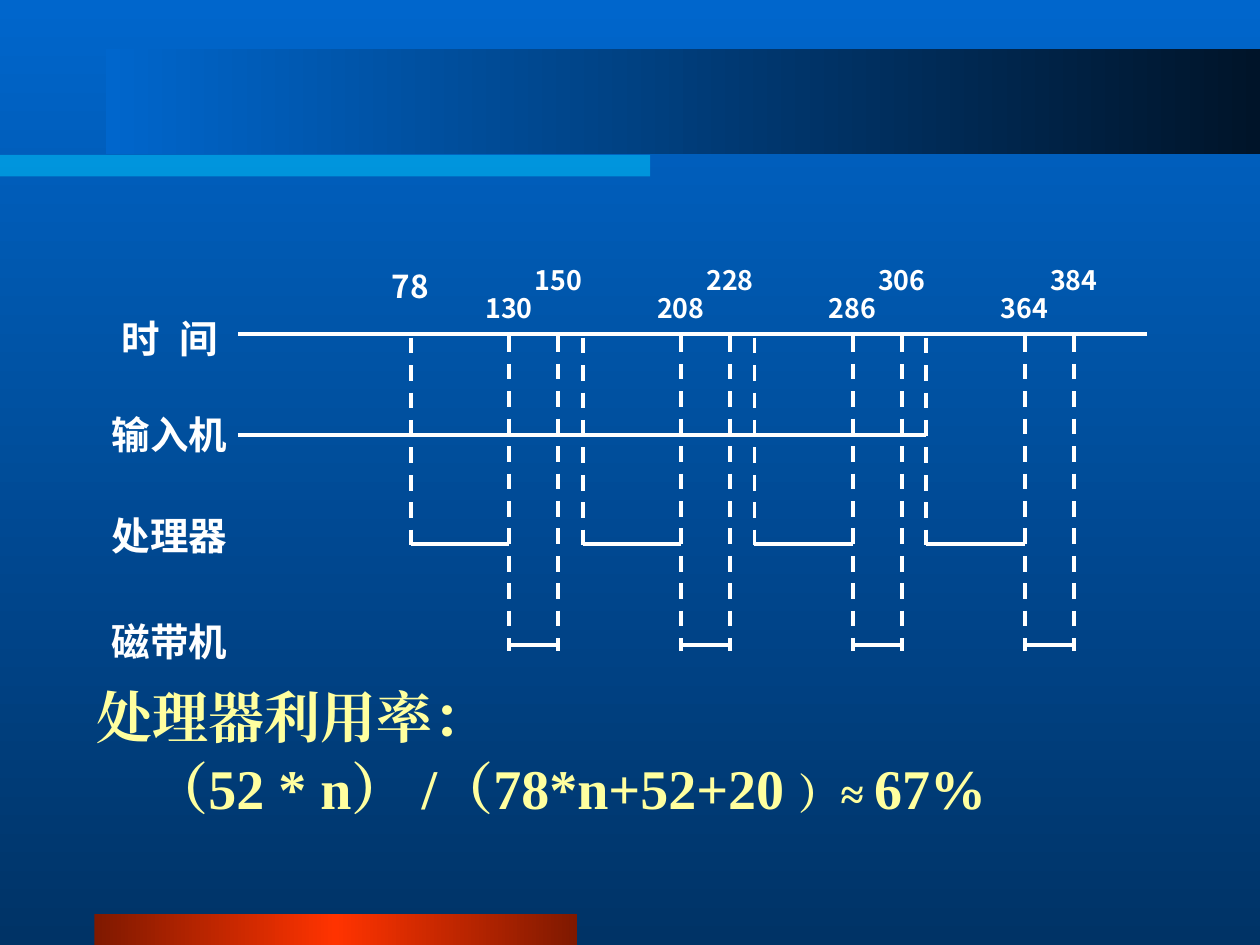
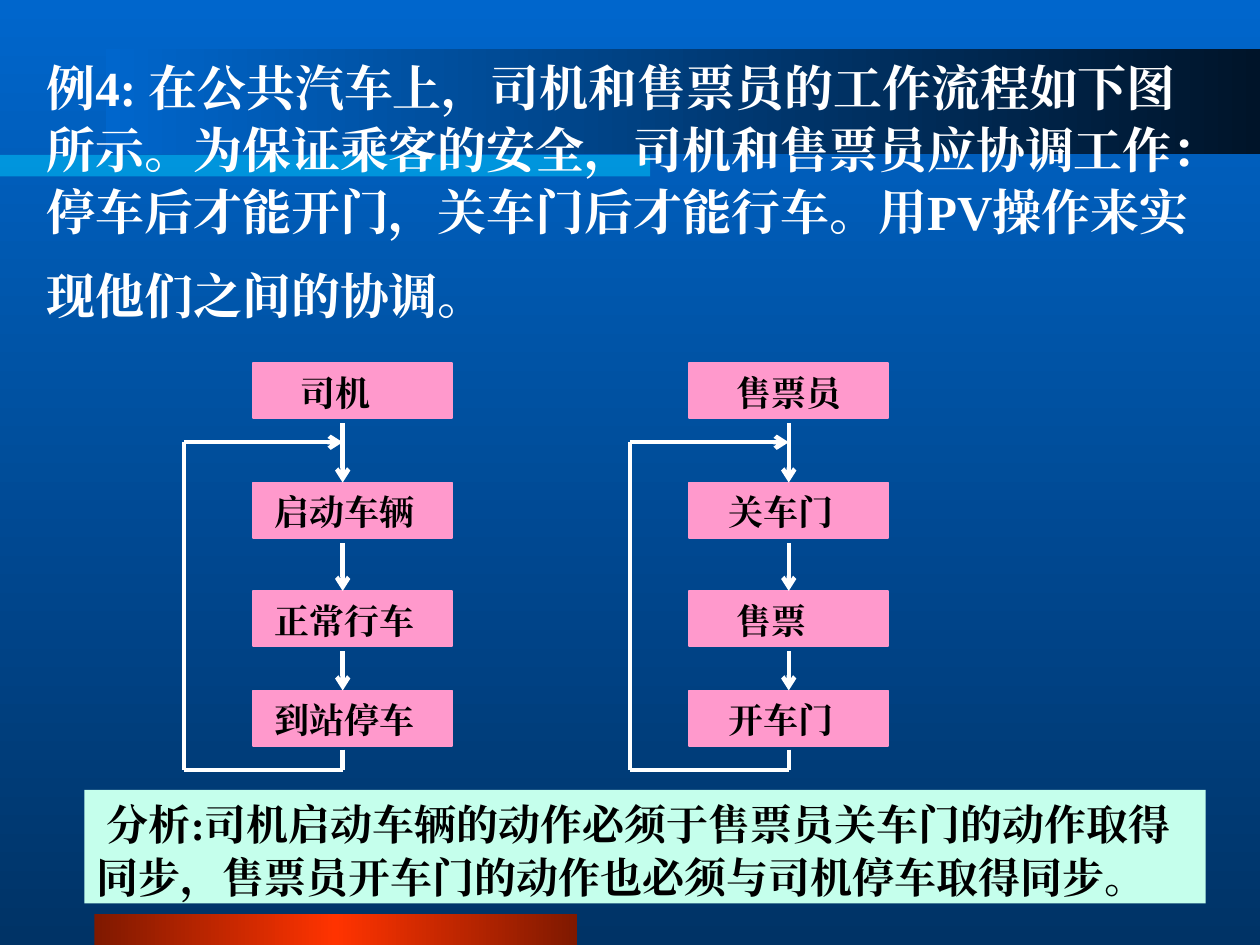
from copy import deepcopy

from pptx import Presentation
from pptx.dml.color import RGBColor
from pptx.enum.dml import MSO_LINE
from pptx.enum.shapes import MSO_CONNECTOR, MSO_SHAPE
from pptx.enum.text import MSO_ANCHOR, PP_ALIGN
from pptx.oxml.ns import qn
from pptx.oxml.xmlchemy import OxmlElement
from pptx.util import Inches, Pt

RECT = MSO_SHAPE.RECTANGLE
STRAIGHT = MSO_CONNECTOR.STRAIGHT
DASH = MSO_LINE.DASH
MIDDLE = MSO_ANCHOR.MIDDLE
CENTER = PP_ALIGN.CENTER

SERIF = "Times New Roman"
SANS = "Noto Sans CJK SC"
COLORS = {
    "sky": "0066CC", "deep": "003366", "night": "001429",
    "rust": "7F1900", "fire": "FF3300", "cyan": "00CCFF",
    "white": "FFFFFF", "black": "000000", "cream": "FFFF9F",
    "lemon": "FFFF61", "pink": "FF99CC", "mint": "C5FFEC",
}


def rgb(name):
    return RGBColor.from_string(COLORS[name])


def blend(fill, names, angle=0):
    """Fill with a gradient of evenly spaced colours."""
    fill.gradient()
    fill.gradient_angle = angle
    first = fill.gradient_stops[0]._gs
    for _ in names[2:]:
        first.addnext(deepcopy(first))
    for i, (stop, name) in enumerate(zip(fill.gradient_stops, names)):
        stop.color.rgb = rgb(name)
        stop.position = i / (len(names) - 1)


def add_rect(slide, left, top, width, height, color=None):
    box = slide.shapes.add_shape(
        RECT, Inches(left), Inches(top), Inches(width), Inches(height))
    box.shadow.inherit = False
    box.line.fill.background()
    if color:
        box.fill.solid()
        box.fill.fore_color.rgb = rgb(color)
    return box


def add_box(slide, left, top, width, height):
    return slide.shapes.add_textbox(
        Inches(left), Inches(top), Inches(width), Inches(height))


def add_line(slide, start, end, weight=2.25, dash=False, arrow=False):
    points = [Inches(v) for v in (*start, *end)]
    line = slide.shapes.add_connector(STRAIGHT, *points)
    line.line.color.rgb = rgb("white")
    line.line.width = Pt(weight)
    if dash:
        line.line.dash_style = DASH
    if arrow:
        tip = OxmlElement("a:tailEnd")
        tip.set("type", "arrow")
        line.line._get_or_add_ln().append(tip)
    line._element.spPr.append(OxmlElement("a:effectLst"))


def style(run, size, color, face=SERIF):
    run.font.size = Pt(size)
    run.font.bold = True
    run.font.name = face
    run.font.color.rgb = rgb(color)
    east = OxmlElement("a:ea")
    east.set("typeface", face)
    run._r.rPr.find(qn("a:latin")).addnext(east)


def set_inset(frame, side, top, bottom):
    frame.margin_left = frame.margin_right = Inches(side)
    frame.margin_top, frame.margin_bottom = Inches(top), Inches(bottom)


def write(par, parts, left=0, first=0):
    """Write (text, size, colour) parts with left and first-line indents."""
    par.line_spacing = 1.05
    par.alignment = PP_ALIGN.LEFT
    props = par._p.get_or_add_pPr()
    props.set("marL", str(Inches(left)))
    props.set("indent", str(Inches(first)))
    for text, size, color in parts:
        run = par.add_run()
        run.text = text
        style(run, size, color)


def add_label(slide, text, left, top, width, size, pitch):
    """Add a centred label; pitch is its line height in points."""
    frame = add_box(slide, left, top, width, 0.56).text_frame
    set_inset(frame, 0, 0, 0)
    frame.word_wrap = False
    frame.text = text
    par = frame.paragraphs[0]
    par.alignment = CENTER
    par.line_spacing = Pt(pitch)
    style(par.runs[0], size, "white", SANS)


def add_slide(deck):
    """Add a slide with the shared background and bands."""
    slide = deck.slides.add_slide(deck.slide_layouts[6])
    blend(slide.background.fill, ["sky", "deep"], 270)
    foot = add_rect(slide, 0.75, 7.25, 3.83, 0.25)
    blend(foot.fill, ["rust", "fire", "rust"])
    band = add_rect(slide, 0.84, 0.39, 9.16, 0.83)
    blend(band.fill, ["sky", "night"])
    strip = add_rect(slide, 0, 1.23, 5.16, 0.17, "cyan")
    alpha = OxmlElement("a:alpha")
    alpha.set("val", "50000")
    strip._element.spPr.find(".//" + qn("a:srgbClr")).append(alpha)
    return slide


def add_mark(slide, time, x, top):
    add_label(slide, str(time), x - 0.195, top, 0.39, 15.3, 17.3)


def draw_times(slide):
    """Draw the time chart: four cycles of input, processor and tape."""
    rows = {"时\u2002间": 2.48, "输入机": 3.24, "处理器": 4.04, "磁带机": 4.88}
    for name, top in rows.items():
        add_label(slide, name, 0.76, top, 1.17, 22, 28)
    add_line(slide, (1.89, 2.65), (9.1, 2.65))
    add_line(slide, (1.89, 3.45), (7.35, 3.45))
    add_label(slide, "78", 3.06, 2.1, 0.39, 18, 23)
    for i in range(4):
        start = 3.26 + 1.364 * i
        done = start + 0.78
        saved = done + 0.39
        add_line(slide, (start, 2.68), (start, 4.35), dash=True)
        for x in (done, saved):
            add_line(slide, (x, 2.67), (x, 5.17), dash=True)
        add_line(slide, (start, 4.32), (done, 4.32))
        add_line(slide, (done, 5.12), (saved, 5.12))
        add_mark(slide, 130 + 78 * i, done, 2.33)
        add_mark(slide, 150 + 78 * i, saved, 2.11)


def add_rate(slide):
    frame = add_box(slide, 0.67, 5.39, 8.67, 1.12).text_frame
    frame.word_wrap = True
    set_inset(frame, 0.1, 0, 0.05)
    write(frame.paragraphs[0], [("处理器利用率：", 32, "cream")])
    write(frame.add_paragraph(), [
        ("（52 * n） /（78*n+52+20 ", 32, "cream"),
        ("）≈ ", 24, "cream"),
        ("67%", 32, "cream"),
    ], left=0.44)


def add_title(slide, text):
    frame = add_box(slide, 0.27, 0.63, 9.45, 1.78).text_frame
    frame.word_wrap = True
    frame.vertical_anchor = MIDDLE
    set_inset(frame, 0.1, 0.05, 0.05)
    write(frame.paragraphs[0], [(text, 28, "white"), (" ", 40, "lemon")])


def add_note(slide, text):
    frame = add_rect(slide, 0.67, 6.27, 8.9, 0.9, "mint").text_frame
    frame.word_wrap = True
    frame.vertical_anchor = MSO_ANCHOR.TOP
    write(frame.paragraphs[0], [(text, 24, "black")], first=0.08)


def draw_flow(slide, left, axis, steps):
    """Draw a looping column of (text, indent) steps along an axis."""
    tops = [2.88, 3.83, 4.69, 5.48]
    for (text, indent), top in zip(steps, tops):
        box = add_rect(slide, left, top, 1.58, 0.44, "pink")
        box.line.color.rgb = rgb("pink")
        box.line.width = Pt(1)
        box.text_frame.word_wrap = True
        box.text_frame.vertical_anchor = MSO_ANCHOR.TOP
        write(box.text_frame.paragraphs[0], [(text, 20, "black")], indent)
    for top, below in zip(tops, tops[1:]):
        add_line(slide, (axis, top + 0.48), (axis, below), 2.5, arrow=True)
    side, head, base = axis - 1.26, 3.51, 6.11
    path = [(axis, 5.95), (axis, base), (side, base), (side, head),
            (axis, head)]
    for start, end in zip(path, path[1:]):
        add_line(slide, start, end, 2.5, arrow=end == path[-1])


def main():
    deck = Presentation()
    deck.slide_width, deck.slide_height = Inches(10), Inches(7.5)

    slide = add_slide(deck)
    add_rate(slide)
    draw_times(slide)

    slide = add_slide(deck)
    add_title(slide, "例4: 在公共汽车上，司机和售票员的工作流程如下图所示。"
              "为保证乘客的安全，司机和售票员应协调工作：停车后才能开门，"
              "关车门后才能行车。用PV操作来实现他们之间的协调。")
    add_note(slide, "分析:司机启动车辆的动作必须于售票员关车门的动作取得同步，"
             "售票员开车门的动作也必须与司机停车取得同步。")
    draw_flow(slide, 2.01, 2.72, [("司机", 0.28), ("启动车辆", 0.07),
                                  ("正常行车", 0.07), ("到站停车", 0.07)])
    draw_flow(slide, 5.47, 6.26, [("售票员", 0.28), ("关车门", 0.21),
                                  ("售票", 0.28), ("开车门", 0.21)])
    deck.save("out.pptx")


if __name__ == "__main__":
    main()
